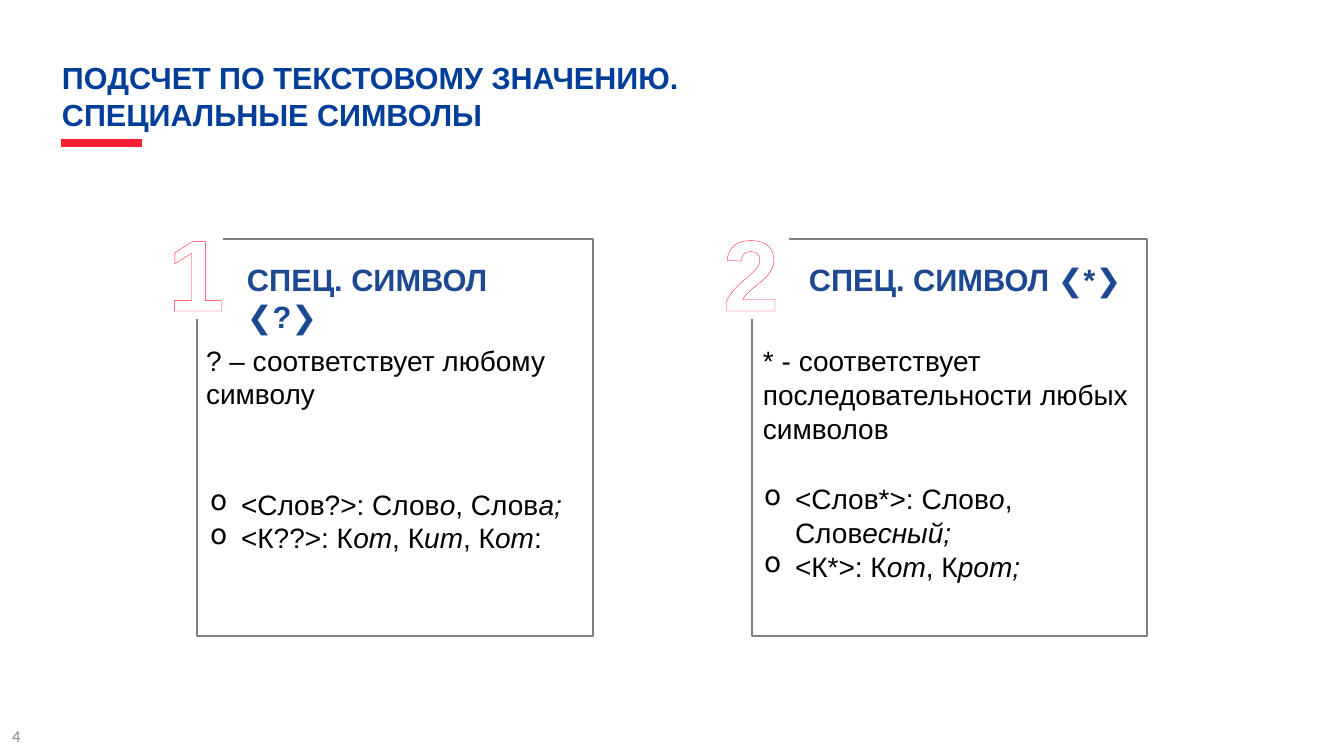
from lxml import etree
from pptx import Presentation
from pptx import util as u
from pptx.dml.color import RGBColor
from pptx.enum import shapes, text
from pptx.oxml import ns

PX = u.Inches(1) / 100.8
COLORS = {"title": "013E99", "heading": "1D4992", "accent": "FF1F33", "frame": "808080",
          "white": "FFFFFF", "body": "000000", "number": "8C8C8C"}
FORMATS = {
    "title": {"font": {"size": u.Pt(21.8), "bold": True}, "color": "title", "insets": (0, 1, 0, 0),
              "paragraph": {"line_spacing": 1.01, "space_before": u.Pt(0.6)}, "indent": (1, 0)},
    "heading": {"font": {"size": u.Pt(22), "bold": True}, "color": "heading", "insets": (0, 1, 0, 0),
                "paragraph": {"line_spacing": 1.01, "space_before": u.Pt(0.6)}, "indent": (1, 0)},
    "digit": {"font": {"size": u.Pt(72), "bold": True}, "color": "white", "insets": (0, 4, 0, 0),
              "paragraph": {"line_spacing": 1.2}, "indent": (1, 0)},
    "body": {"font": {"size": u.Pt(20)}, "color": "body", "insets": (10, 5, 10, 5),
             "paragraph": {}, "indent": (0, 0)},
    "examples": {"font": {"size": u.Pt(20)}, "color": "body", "insets": (10, 5, 10, 5),
                 "paragraph": {}, "indent": (31, -31), "bullet": "o"},
    "number": {"font": {"size": u.Pt(12), "name": "Calibri"}, "color": "number",
               "insets": (0, 0, 0, 0), "paragraph": {"alignment": text.PP_ALIGN.CENTER},
               "indent": (0, 0)},
}


def px(*lengths):
    return [u.Emu(round(length * PX)) for length in lengths]


def write(shape, paragraphs, style):
    """Each paragraph is a list of runs that alternate upright and italic."""
    look = FORMATS[style]
    frame = shape.text_frame
    frame.word_wrap = True
    frame.auto_size = text.MSO_AUTO_SIZE.SHAPE_TO_FIT_TEXT
    frame.vertical_anchor = text.MSO_ANCHOR.TOP
    for side, inset in zip(("left", "top", "right", "bottom"), px(*look["insets"])):
        setattr(frame, f"margin_{side}", inset)
    for index, runs in enumerate(paragraphs):
        paragraph = frame.add_paragraph() if index else frame.paragraphs[0]
        for name, value in ({"alignment": text.PP_ALIGN.LEFT} | look["paragraph"]).items():
            setattr(paragraph, name, value)
        properties = paragraph._p.get_or_add_pPr()
        for name, length in zip(("marL", "indent"), px(*look["indent"])):
            properties.set(name, str(int(length)))
        if "bullet" in look:
            etree.SubElement(properties, ns.qn("a:buChar")).set("char", look["bullet"])
        for order, words in enumerate(runs):
            run = paragraph.add_run()
            run.text = words
            for name, value in ({"name": "Arial", "italic": order % 2 == 1} | look["font"]).items():
                setattr(run.font, name, value)
            run.font.color.rgb = RGBColor.from_string(COLORS[look["color"]])


presentation = Presentation()
presentation.slide_width, presentation.slide_height = px(1344, 756)
slide = presentation.slides.add_slide(presentation.slide_layouts[5])

# Title and its underline
title = slide.shapes.title
title.left, title.top, title.width, title.height = px(61, 58, 858, 74)
write(title, [["ПОДСЧЕТ ПО ТЕКСТОВОМУ ЗНАЧЕНИЮ. СПЕЦИАЛЬНЫЕ СИМВОЛЫ"]], "title")
underline = slide.shapes.add_connector(shapes.MSO_CONNECTOR.STRAIGHT, *px(61, 143, 142, 143))
underline.line.color.rgb = RGBColor.from_string(COLORS["accent"])
underline.line.width = u.Pt(6)
etree.SubElement(underline._element.spPr, ns.qn("a:effectLst"))

# Two cards, one for each special symbol
cards = [
    {"frame": (197, 239, 396, 397),
     "digit": ((167, 182, 56, 137), "1"),
     "heading": ((246, 259, 308, 36), "СПЕЦ. СИМВОЛ ❮?❯"),
     "body": ((196, 338, 393, 78), "? – соответствует любому символу"),
     "examples": ((200, 482, 391, 78), [["<Слов?>: Слов", "о", ", Слов", "а;"],
                                        ["<К??>: К", "от", ", К", "ит", ", К", "от", ":"]])},
    {"frame": (752, 239, 395, 397),
     "digit": ((722, 182, 67, 137), "2"),
     "heading": ((808, 259, 334, 36), "СПЕЦ. СИМВОЛ ❮*❯"),
     "body": ((753, 339, 395, 112), "* - соответствует последовательности любых символов"),
     "examples": ((754, 477, 391, 112), [["<Слов*>: Слов", "о", ", Слов", "есный;"],
                                         ["<К*>: К", "от", ", К", "рот;"]])},
]
for card in cards:
    frame = slide.shapes.add_shape(shapes.MSO_SHAPE.RECTANGLE, *px(*card["frame"]))
    frame.shadow.inherit = False
    frame.fill.background()
    frame.line.color.rgb = RGBColor.from_string(COLORS["frame"])
    frame.line.width = u.Pt(1)

    # Outlined digit on a white patch over the corner
    place, digit = card["digit"]
    patch = slide.shapes.add_shape(shapes.MSO_SHAPE.RECTANGLE, *px(*place))
    patch.shadow.inherit = False
    patch.fill.solid()
    patch.fill.fore_color.rgb = RGBColor.from_string(COLORS["white"])
    patch.line.fill.background()
    write(patch, [[digit]], "digit")
    run_properties = patch.text_frame.paragraphs[0].runs[0]._r.get_or_add_rPr()
    outline = etree.Element(ns.qn("a:ln"), w=str(int(u.Pt(2.25))))
    outline_fill = etree.SubElement(outline, ns.qn("a:solidFill"))
    etree.SubElement(outline_fill, ns.qn("a:srgbClr")).set("val", COLORS["accent"])
    run_properties.insert(0, outline)

    # Heading, rule and examples
    for part in ("heading", "body", "examples"):
        place, words = card[part]
        paragraphs = words if part == "examples" else [[words]]
        write(slide.shapes.add_textbox(*px(*place)), paragraphs, part)

# Slide number
number = slide.shapes.add_textbox(*px(-1, 716, 35, 40))
write(number, [["4"]], "number")
number.text_frame.auto_size = text.MSO_AUTO_SIZE.NONE
number.text_frame.vertical_anchor = text.MSO_ANCHOR.MIDDLE

presentation.save("out.pptx")
